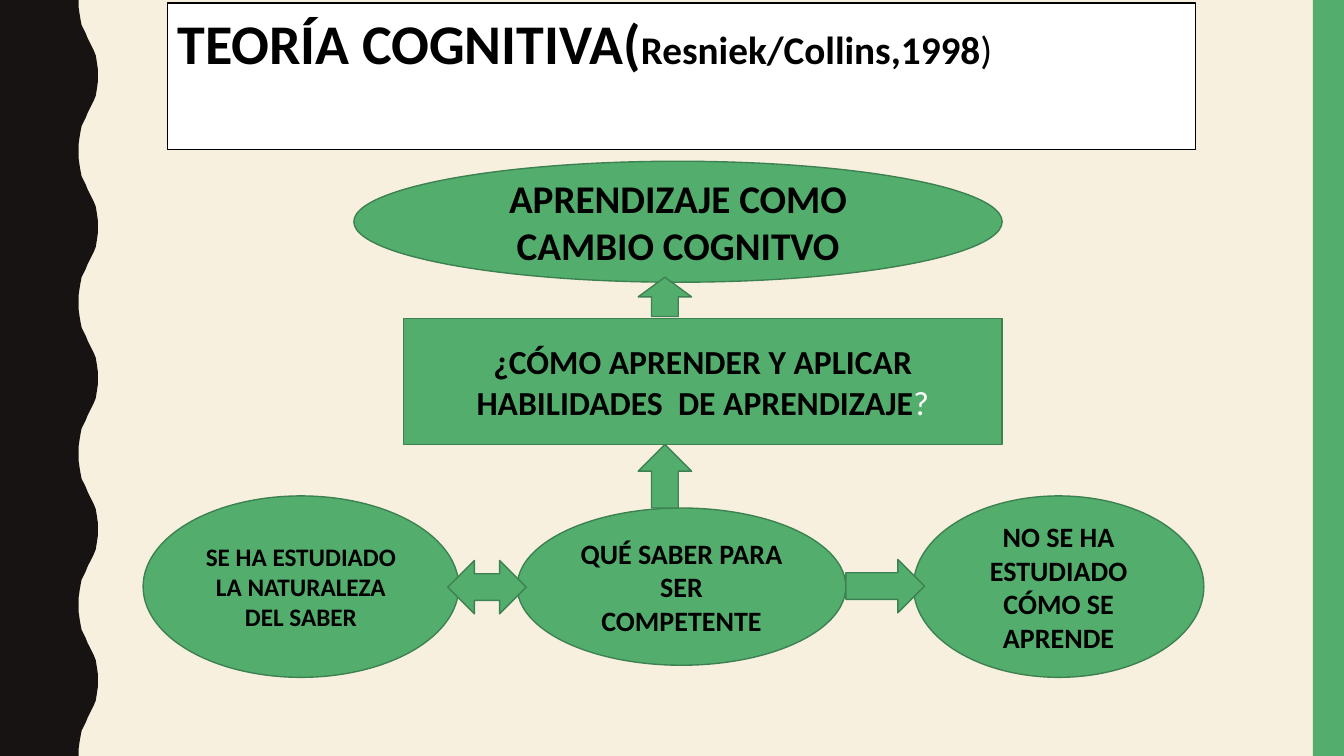
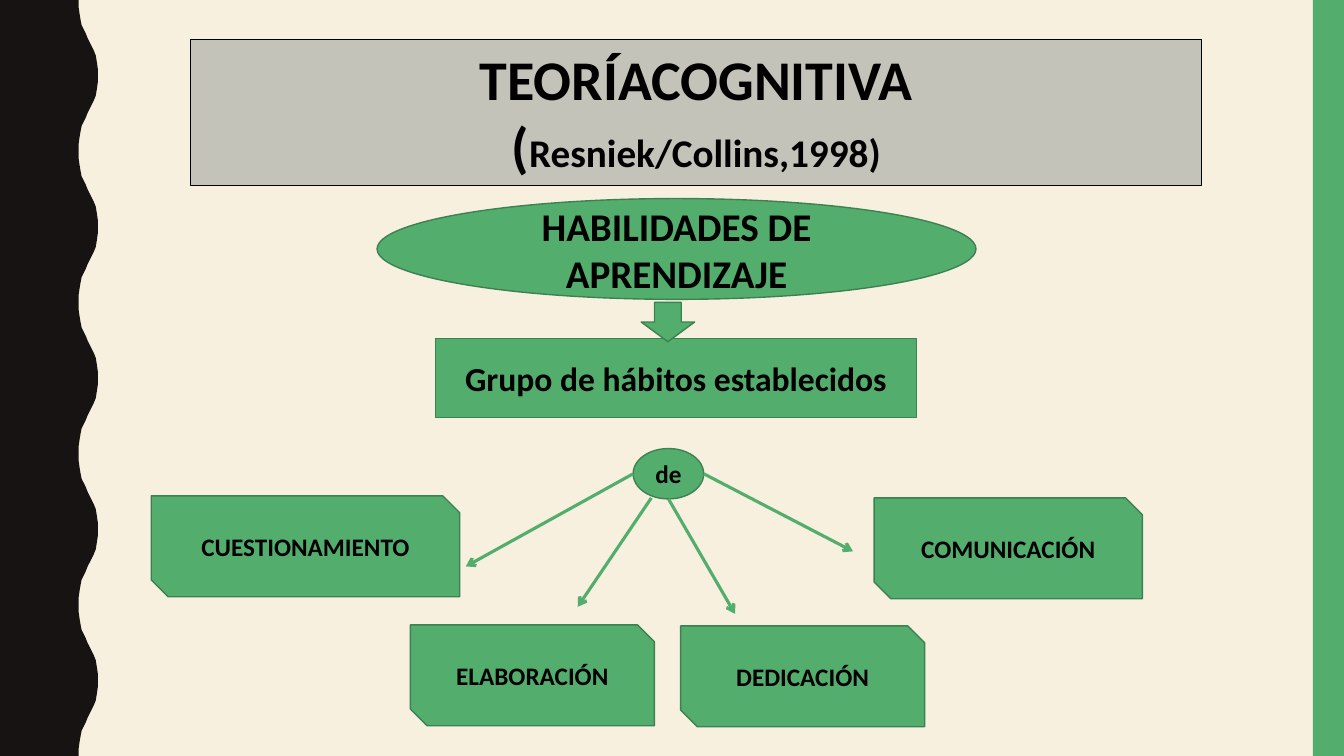
from lxml.etree import SubElement
from pptx import Presentation
from pptx.dml.color import RGBColor
from pptx.enum.shapes import MSO_CONNECTOR, MSO_SHAPE
from pptx.enum.text import MSO_ANCHOR, MSO_AUTO_SIZE, PP_ALIGN
from pptx.oxml.ns import qn
from pptx.util import Inches, Pt

CREAM, INK, GREEN, EDGE = "F7F0DF", "171312", "53AE6E", "3D8151"
BLACK, WHITE, GRAY = "000000", "FFFFFF", "C3C3B9"
FONT = "Calibri"
WIDE, HIGH = 13.33, 7.5
WAVE = 1.5
CURVE = [(0.78, 0), (0.78, 0.07), (0.79, 0.14), (0.8, 0.2), (0.81, 0.25),
         (0.83, 0.29), (0.85, 0.33), (0.87, 0.38), (0.89, 0.42), (0.91, 0.46),
         (0.93, 0.5), (0.95, 0.55), (0.96, 0.61), (0.97, 0.68), (0.97, 0.75)]


def paint(form, tone):
    """Set a solid colour on a fill or font colour."""
    if hasattr(form, "solid"):
        form.solid()
        form = form.fore_color
    form.rgb = RGBColor.from_string(tone)


def write(frame, paras, align):
    """Fill a text frame with paragraphs of (text, size, bold, colour) runs."""
    frame.word_wrap = True
    for num, runs in enumerate(paras):
        para = frame.add_paragraph() if num else frame.paragraphs[0]
        para.alignment = align
        for text, size, bold, tone in runs:
            run = para.add_run()
            run.text = text
            run.font.name, run.font.size, run.font.bold = FONT, Pt(size), bold
            paint(run.font.color, tone)


def bold(text, size):
    """Return one bold black run."""
    return text, size, True, BLACK


def node(slide, kind, box, *paras):
    """Add a green shape with centred text."""
    shape = slide.shapes.add_shape(kind, *map(Inches, box))
    shape.shadow.inherit = False
    paint(shape.fill, GREEN)
    paint(shape.line.fill, EDGE)
    shape.line.width = Pt(1)
    shape.text_frame.vertical_anchor = MSO_ANCHOR.MIDDLE
    write(shape.text_frame, paras, PP_ALIGN.CENTER)


def arrow(slide, start, end):
    """Add a green line with an arrowhead at its end."""
    line = slide.shapes.add_connector(
        MSO_CONNECTOR.STRAIGHT, *map(Inches, start + end))
    paint(line.line.fill, GREEN)
    line.line.width = Pt(2.25)
    SubElement(line.line._get_or_add_ln(), qn("a:tailEnd"), type="arrow")
    SubElement(line.element.spPr, qn("a:effectLst"))


def dress(master, slide):
    """Give the master its background, wavy edge and side band."""
    paint(master.background.fill, CREAM)
    half = CURVE + [(x, WAVE - y) for x, y in CURVE[-2::-1]]
    edge = [(x, y + num * WAVE) for num in range(5) for x, y in half]
    pen = slide.shapes.build_freeform(0, 0)
    pen.add_line_segments(
        [(Inches(x), Inches(y)) for x, y in edge + [(0, HIGH)]], close=True)
    wave = pen.convert_to_shape()
    band = slide.shapes.add_shape(
        MSO_SHAPE.RECTANGLE, *map(Inches, (13.02, 0, 0.31, HIGH)))
    for num, (shape, tone) in enumerate([(wave, INK), (band, GREEN)]):
        shape.shadow.inherit = False
        paint(shape.fill, tone)
        shape.line.fill.background()
        shape.element.nvSpPr.cNvPr.set("id", str(100 + num))
        master.shapes.element.insert(2 + num, shape.element)


def head(slide, box, tone, align, *paras):
    """Place and format the title."""
    title = slide.shapes.title
    title.left, title.top, title.width, title.height = map(Inches, box)
    paint(title.fill, tone)
    paint(title.line.fill, BLACK)
    title.line.width = Pt(0.75)
    frame = title.text_frame
    frame.auto_size = MSO_AUTO_SIZE.NONE
    frame.vertical_anchor = MSO_ANCHOR.TOP
    write(frame, paras, align)


def change(slide, left, top):
    """Draw the diagram of learning as cognitive change."""
    def put(kind, x, y, wide, high, *paras):
        node(slide, kind, (left + x, top + y, wide, high), *paras)

    oval = MSO_SHAPE.OVAL
    put(MSO_SHAPE.RECTANGLE, 2.58, 1.56, 5.94, 1.25,
        [bold("¿CÓMO APRENDER Y APLICAR", 24)],
        [bold("HABILIDADES  DE APRENDIZAJE", 24), ("?", 24, False, WHITE)])
    put(oval, 0, 3.32, 3.13, 1.8,
        [bold("SE HA ESTUDIADO LA NATURALEZA DEL SABER", 18)])
    put(oval, 3.71, 3.44, 3.26, 1.56,
        [bold("QUÉ SABER PARA SER", 20)], [bold("COMPETENTE", 20)])
    put(oval, 7.64, 3.32, 2.88, 1.8,
        [bold("NO SE HA ESTUDIADO CÓMO SE APRENDE", 20)])
    put(MSO_SHAPE.RIGHT_ARROW, 6.97, 3.95, 0.78, 0.53)
    put(MSO_SHAPE.UP_ARROW, 4.91, 2.81, 0.53, 0.63)
    put(oval, 2.09, 0, 6.43, 1.2,
        [bold("APRENDIZAJE COMO CAMBIO COGNITVO", 28)])
    put(MSO_SHAPE.LEFT_RIGHT_ARROW, 3.02, 3.96, 0.78, 0.53)
    put(MSO_SHAPE.UP_ARROW, 4.91, 1.15, 0.53, 0.39)


def habits(slide, left, top):
    """Draw the tree of learning habits."""
    def put(kind, x, y, wide, high, *paras):
        node(slide, kind, (left + x, top + y, wide, high), *paras)

    put(MSO_SHAPE.RECTANGLE, 2.82, 1.39, 4.77, 0.78,
        [bold("Grupo de hábitos establecidos", 24)])
    put(MSO_SHAPE.OVAL, 2.24, 0, 5.94, 1,
        [bold("HABILIDADES DE APRENDIZAJE", 28)])
    put(MSO_SHAPE.DOWN_ARROW, 4.86, 1.03, 0.53, 0.39)
    for text, x, y, wide in [("CUESTIONAMIENTO", 0, 2.95, 3.06),
                             ("ELABORACIÓN", 2.57, 4.23, 2.42),
                             ("COMUNICACIÓN", 7.17, 2.97, 2.66),
                             ("DEDICACIÓN", 5.25, 4.24, 2.42)]:
        put(MSO_SHAPE.SNIP_2_DIAG_RECTANGLE, x, y, wide, 1, [bold(text, 18)])
    put(MSO_SHAPE.FLOWCHART_CONNECTOR, 4.78, 2.48, 0.7, 0.5, [bold("de", 18)])
    for x, y, endx, endy in [(4.78, 2.73, 3.12, 3.65), (5.13, 2.98, 5.79, 4.12),
                             (4.96, 2.97, 4.23, 4.05), (5.48, 2.73, 6.96, 3.5)]:
        arrow(slide, (left + x, top + y), (left + endx, top + endy))


def main():
    """Build and save both slides."""
    prs = Presentation()
    prs.slide_width, prs.slide_height = Inches(WIDE), Inches(HIGH)
    first, second = [prs.slides.add_slide(prs.slide_layouts[5])
                     for _ in range(2)]
    dress(prs.slide_master, first)
    head(first, (1.66, 0.03, 10.2, 1.45), WHITE, PP_ALIGN.LEFT,
         [bold("TEORÍA COGNITIVA(", 40), bold("Resniek/Collins,1998", 28),
          (")", 28, False, BLACK)])
    change(first, 1.42, 1.6)
    head(second, (1.89, 0.39, 10.03, 1.45), GRAY, PP_ALIGN.CENTER,
         [bold("TEORÍACOGNITIVA", 40)],
         [bold("(", 40), bold("Resniek/Collins,1998)", 28)])
    habits(second, 1.5, 1.97)
    prs.save("out.pptx")


main()
